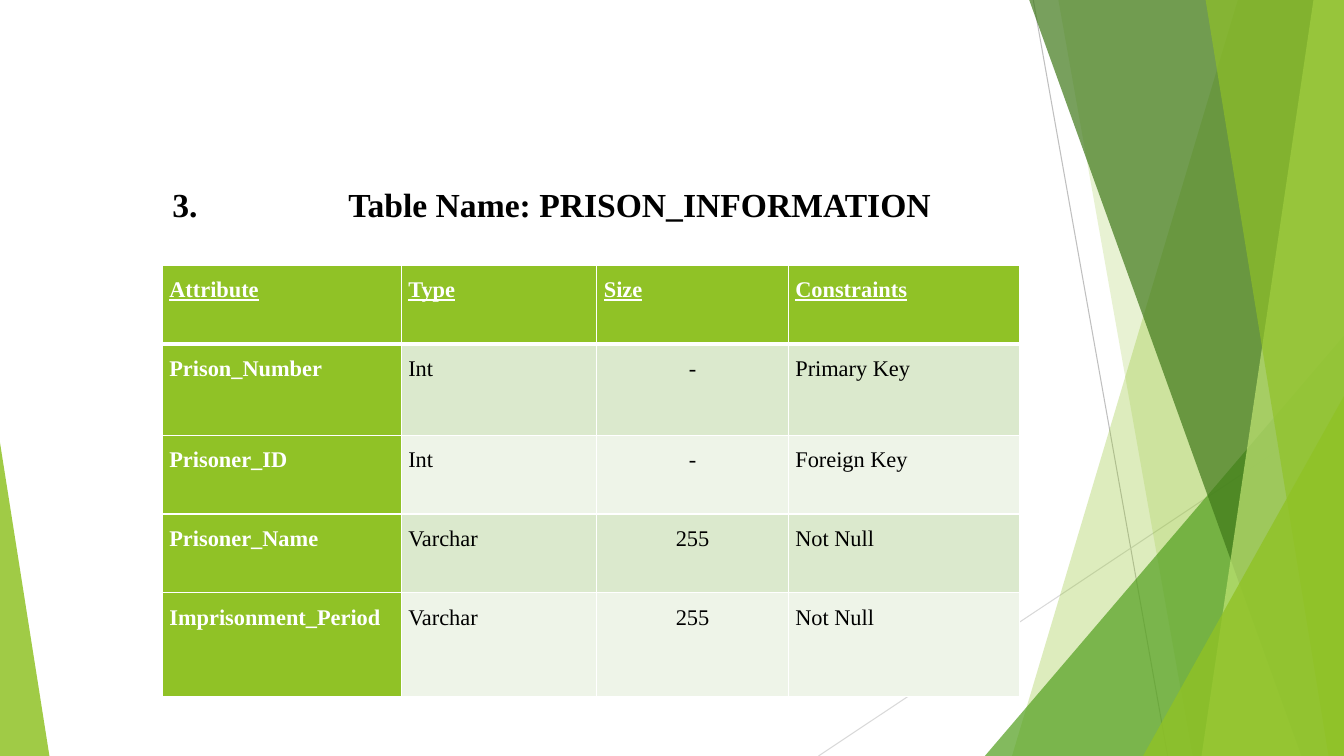
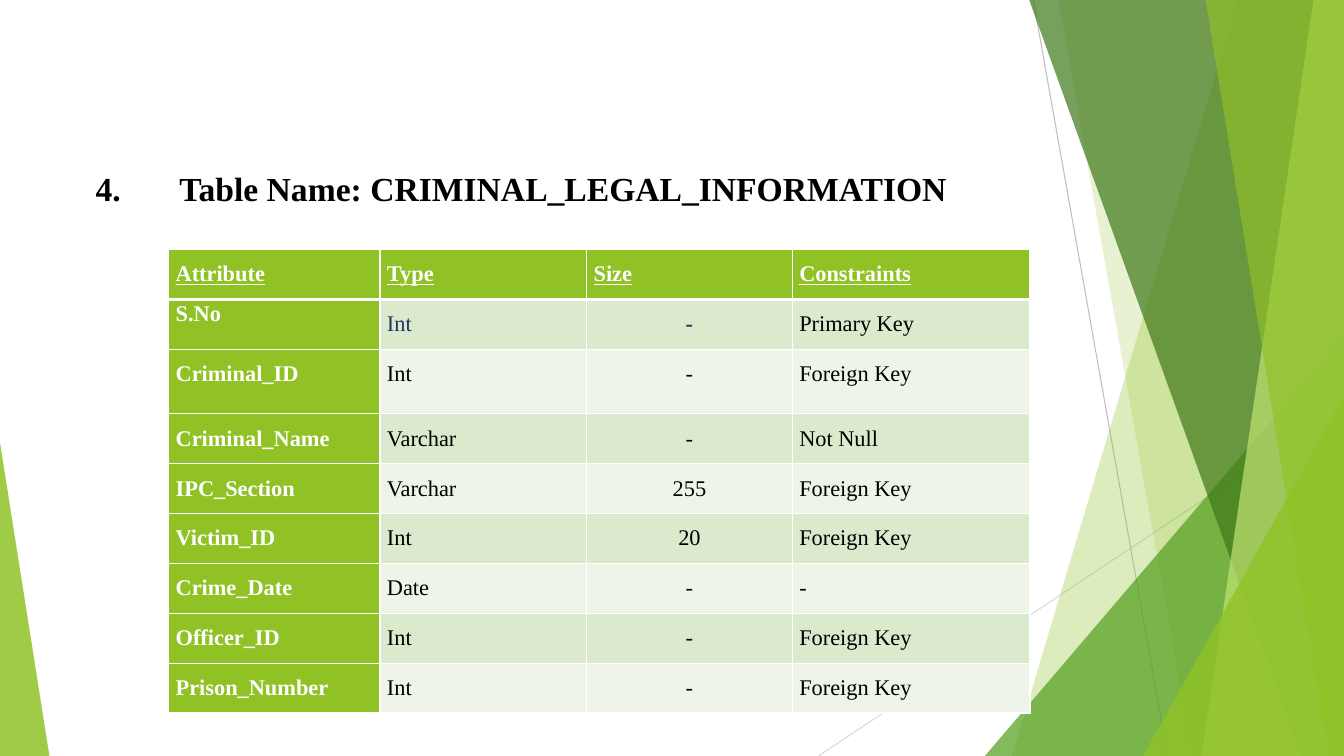
from lxml.etree import SubElement
from pptx import Presentation
from pptx.dml.color import RGBColor
from pptx.enum.shapes import MSO_CONNECTOR, MSO_SHAPE
from pptx.enum.text import MSO_ANCHOR, PP_ALIGN
from pptx.oxml.ns import qn
from pptx.util import Inches, Pt

WHITE = RGBColor(0xFF, 0xFF, 0xFF)
BLACK = RGBColor(0x00, 0x00, 0x00)
NAVY = RGBColor(0x1F, 0x37, 0x63)
LIME = RGBColor(0x90, 0xC2, 0x26)
PALE_LIME = RGBColor(0xC0, 0xE4, 0x74)
LEAF = RGBColor(0x54, 0xA0, 0x21)
FOREST = RGBColor(0x3F, 0x78, 0x19)
BAND_DARK = RGBColor(0xDB, 0xE9, 0xCD)
BAND_LIGHT = RGBColor(0xEE, 0xF4, 0xE8)
GREY = RGBColor(0xBF, 0xBF, 0xBF)
LIGHT_GREY = RGBColor(0xD9, 0xD9, 0xD9)

HEADER = ("Attribute", "Type", "Size", "Constraints")
SIZE_COLUMN = 2


class Deck:
    """Holds the style and the current slide; lengths are percent of the slide."""

    font = "Times New Roman"
    title_size = Pt(24)
    cell_size = Pt(16)

    def __init__(self):
        self.prs = Presentation()
        self.prs.slide_width = Inches(13.33)
        self.prs.slide_height = Inches(7.5)
        self.s = None

    def x(self, share):
        return round(self.prs.slide_width * share / 100)

    def y(self, share):
        return round(self.prs.slide_height * share / 100)

    def slide(self):
        self.s = self.prs.slides.add_slide(self.prs.slide_layouts[6])
        self.backdrop()

    def backdrop(self):
        self.line(76.88, 0, 86.88, 100, GREY)
        self.line(100, 53.73, 60.9, 100, LIGHT_GREY)
        self.facet(92.1, 75.3, LIME, 30)
        self.facet(78.75, 88.73, LIME, 20)
        self.triangle(73.28, 44.4, 100, 1, LEAF, 72)
        self.facet(76.58, 96.83, FOREST, 70)
        self.facet(97.73, 89.4, PALE_LIME, 70)
        self.facet(89.7, 98.85, LIME, 65)
        self.triangle(85.05, 52.4, 100, 1, LIME, 80)
        self.triangle(0, 58.53, 3.68, 0, LIME, 85)

    def line(self, x1, y1, x2, y2, color):
        cxn = self.s.shapes.add_connector(
            MSO_CONNECTOR.STRAIGHT, self.x(x1), self.y(y1), self.x(x2), self.y(y2))
        cxn.line.color.rgb = color
        cxn.line.width = Pt(0.75)
        SubElement(cxn.element.spPr, qn("a:effectLst"))

    def facet(self, top, bottom, color, opacity):
        """Full-height panel from a slanted left edge to the slide's right edge."""
        fb = self.s.shapes.build_freeform(self.x(top), 0)
        fb.add_line_segments([(self.x(100), 0), (self.x(100), self.y(100)),
                              (self.x(bottom), self.y(100))])
        self.paint(fb.convert_to_shape(), color, opacity)

    def triangle(self, left, top, right, apex, color, opacity):
        """Triangle that stands on the slide's bottom edge."""
        sp = self.s.shapes.add_shape(
            MSO_SHAPE.ISOSCELES_TRIANGLE, self.x(left), self.y(top),
            self.x(right - left), self.y(100 - top))
        sp.adjustments[0] = apex
        self.paint(sp, color, opacity)

    def paint(self, sp, color, opacity):
        sp.shadow.inherit = False
        sp.line.fill.background()
        sp.fill.solid()
        sp.fill.fore_color.rgb = color
        clr = sp.element.spPr.find(qn("a:solidFill"))[0]
        SubElement(clr, qn("a:alpha"), val=str(opacity * 1000))

    def run(self, p, text, size, color, bold=True, underline=False):
        r = p.add_run()
        r.text = text
        r.font.name = self.font
        r.font.size = size
        r.font.color.rgb = color
        r.font.bold = bold
        r.font.underline = underline

    def title(self, left, top, width, number, text, tab):
        """Number and table name, parted by a tab stop."""
        sp = self.s.shapes.add_textbox(
            self.x(left), self.y(top), self.x(width), self.y(7.87))
        tf = sp.text_frame
        tf.word_wrap = True
        tf.vertical_anchor = MSO_ANCHOR.MIDDLE
        tf.margin_top = Inches(0.14)
        p = tf.paragraphs[0]
        tabs = SubElement(p._p.get_or_add_pPr(), qn("a:tabLst"))
        SubElement(tabs, qn("a:tab"), pos=str(self.x(tab)), algn="l")
        self.run(p, f"{number}\t{text}", self.title_size, BLACK)

    def borders(self, cell, top, bottom):
        tcPr = cell._tc.get_or_add_tcPr()
        for side, width in (("L", 1), ("R", 1), ("T", top), ("B", bottom)):
            ln = SubElement(tcPr, qn(f"a:ln{side}"), w=str(Pt(width)))
            fill = SubElement(ln, qn("a:solidFill"))
            SubElement(fill, qn("a:srgbClr"), val=str(WHITE))

    def cell(self, cell, fill, tight=False, centered=False):
        """Style a cell and return its paragraph."""
        cell.margin_left = cell.margin_right = Inches(0.07)
        cell.margin_top = cell.margin_bottom = 0
        cell.fill.solid()
        cell.fill.fore_color.rgb = fill
        p = cell.text_frame.paragraphs[0]
        p.alignment = PP_ALIGN.CENTER if centered else PP_ALIGN.LEFT
        if tight:
            p.line_spacing, p.space_after = 1.07, Pt(8)
        else:
            p.line_spacing, p.space_before = 1.5, Pt(9.8)
        return p

    def table(self, left, top, widths, heights, records, accent_row=None):
        """Attribute table; accent_row has a tight name and navy type and size."""
        rows = [HEADER, *records]
        table = self.s.shapes.add_table(
            len(rows), len(widths), self.x(left), self.y(top),
            self.x(sum(widths)), self.y(sum(heights))).table
        table.horz_banding = False
        for column, width in zip(table.columns, widths):
            column.width = self.x(width)
        for row, height in zip(table.rows, heights):
            row.height = self.y(height)
        for i, values in enumerate(rows):
            band = BAND_DARK if i % 2 else BAND_LIGHT
            for j, text in enumerate(values):
                head = i == 0 or j == 0
                accent = i == accent_row
                navy = accent and j in (1, SIZE_COLUMN)
                cell = table.cell(i, j)
                self.borders(cell, 3 if i == 1 else 1, 3 if i == 0 else 1)
                p = self.cell(cell, LIME if head else band, accent and j == 0,
                              i > 0 and j == SIZE_COLUMN)
                color = WHITE if head else NAVY if navy else BLACK
                self.run(p, text, self.cell_size, color,
                         head or (navy and j == SIZE_COLUMN), i == 0)


def main():
    deck = Deck()

    deck.slide()
    deck.table(12.08, 35.07, (17.78, 14.55, 14.25, 17.18),
               (10.4, 12.13, 10.4, 10.4, 13.73), [
                   ("Prison_Number", "Int", "-", "Primary Key"),
                   ("Prisoner_ID", "Int", "-", "Foreign Key"),
                   ("Prisoner_Name", "Varchar", "255", "Not Null"),
                   ("Imprisonment_Period", "Varchar", "255", "Not Null"),
               ])
    deck.title(12.08, 22.4, 59.48, "3.", "Table Name: PRISON_INFORMATION", 13.1)

    deck.slide()
    deck.table(12.55, 33, (15.72, 15.38, 15.3, 17.7),
               (6.6, 6.6, 8.53) + (6.6,) * 6, [
                   ("S.No", "Int", "-", "Primary Key"),
                   ("Criminal_ID", "Int", "-", "Foreign Key"),
                   ("Criminal_Name", "Varchar", "-", "Not Null"),
                   ("IPC_Section", "Varchar", "255", "Foreign Key"),
                   ("Victim_ID", "Int", "20", "Foreign Key"),
                   ("Crime_Date", "Date", "-", "-"),
                   ("Officer_ID", "Int", "-", "Foreign Key"),
                   ("Prison_Number", "Int", "-", "Foreign Key"),
               ], accent_row=1)
    deck.title(6.38, 20.27, 70.2, "4.",
               "Table Name: CRIMINAL_LEGAL_INFORMATION", 6.23)

    deck.prs.save("out.pptx")


if __name__ == "__main__":
    main()
